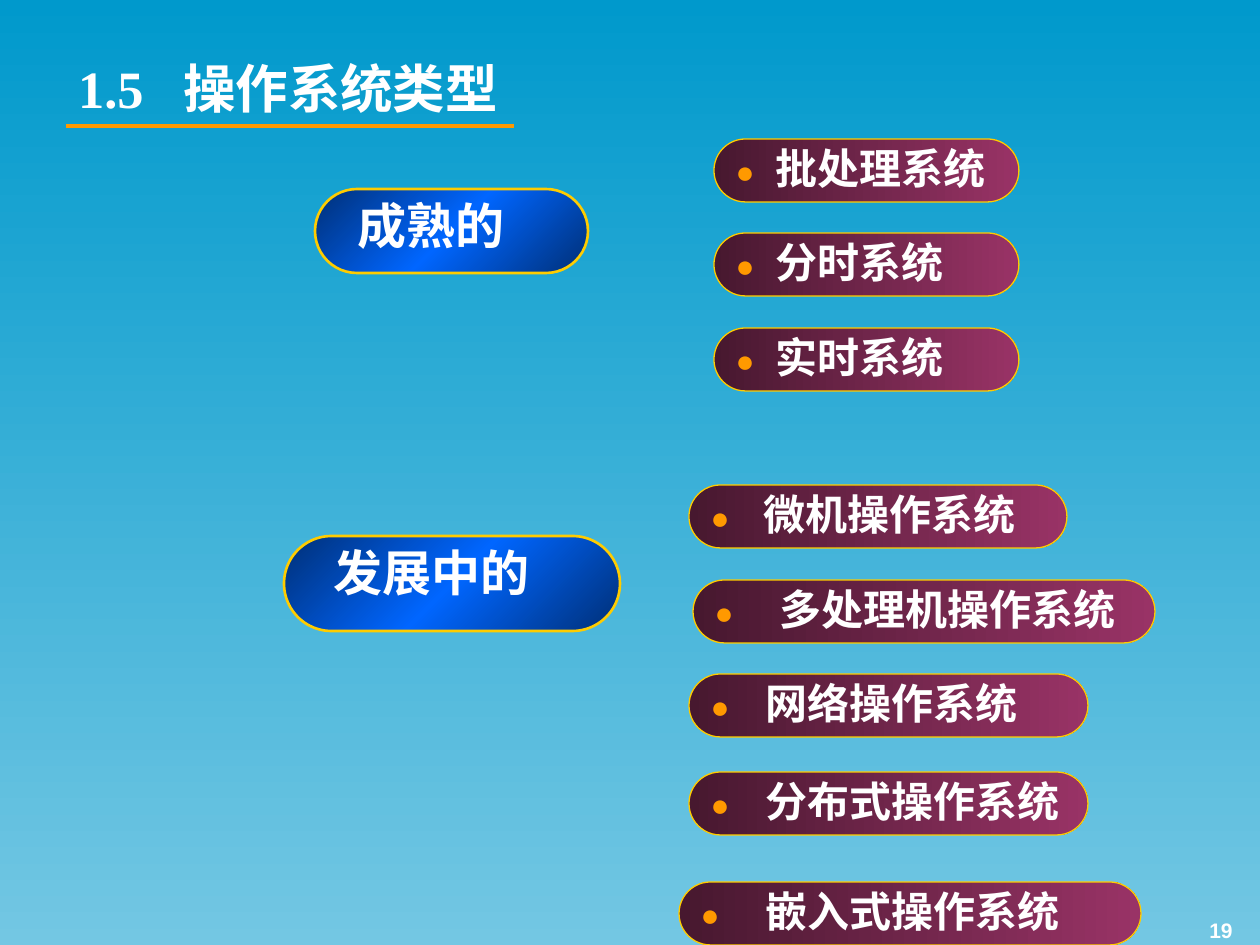
from pptx import Presentation
from pptx.dml.color import RGBColor
from pptx.enum.shapes import MSO_CONNECTOR, MSO_SHAPE
from pptx.enum.text import MSO_ANCHOR, PP_ALIGN
from pptx.oxml.ns import qn
from pptx.util import Emu, Pt
from lxml import etree

PILL = MSO_SHAPE.ROUNDED_RECTANGLE
LINE = MSO_CONNECTOR.STRAIGHT
TOP, MID, LOW = MSO_ANCHOR.TOP, MSO_ANCHOR.MIDDLE, MSO_ANCHOR.BOTTOM
LEFT, RIGHT = PP_ALIGN.LEFT, PP_ALIGN.RIGHT

SKY, MIST = RGBColor(0x00, 0x99, 0xCC), RGBColor(0x73, 0xC7, 0xE3)
NAVY, BLUE = RGBColor(0x00, 0x2F, 0x76), RGBColor(0x00, 0x66, 0xFF)
WINE, PLUM = RGBColor(0x47, 0x18, 0x2F), RGBColor(0x99, 0x33, 0x66)
GOLD, AMBER = RGBColor(0xFF, 0xCC, 0x00), RGBColor(0xFF, 0x99, 0x00)
WHITE = RGBColor(0xFF, 0xFF, 0xFF)

HEAD = dict(name="Times New Roman", size=Pt(30), bold=True)
KIND = dict(name="Lato", size=Pt(28), bold=True)
ITEM = dict(name="Lato", size=Pt(24), bold=True)
DOT = dict(name="Times New Roman", size=Pt(18), bold=False)
PAGE = dict(name="Arial", size=Pt(12), bold=True)

KINDS = [("成熟的", (315, 189, 273, 84), 30),
         ("发展中的", (284, 536, 336, 95), 37)]
# name, box of the pill, indent of the label
ITEMS = [("批处理系统", (714, 139, 305, 63), 49),
         ("分时系统", (714, 233, 305, 63), 49),
         ("实时系统", (714, 328, 305, 63), 49),
         ("微机操作系统", (689, 485, 378, 63), 62),
         ("多处理机操作系统", (693, 580, 462, 63), 74),
         ("网络操作系统", (689, 674, 399, 63), 64),
         ("分布式操作系统", (689, 772, 399, 63), 64),
         ("嵌入式操作系统", (679, 882, 462, 63), 74)]


def px(n):
    return Emu(round(n * 914400 / 126))


def place(box):
    return [px(n) for n in box]


def blend(fill, root, tints, angle):
    """Fill with evenly spaced colours; the angle runs clockwise."""
    fill.gradient()
    fill.gradient_angle = (360 - angle) % 360
    stops = root.find(".//" + qn("a:gsLst"))
    for stop in list(stops):
        stops.remove(stop)
    for i, tint in enumerate(tints):
        pos = str(100000 * i // (len(tints) - 1))
        stop = etree.SubElement(stops, qn("a:gs"), pos=pos)
        etree.SubElement(stop, qn("a:srgbClr"), val=str(tint))


def write(shape, text, style, tint=WHITE, anchor=TOP, align=LEFT):
    frame = shape.text_frame
    frame.word_wrap = True
    frame.vertical_anchor = anchor
    para = frame.paragraphs[0]
    para.alignment = align
    run = para.add_run()
    run.text = text
    for key, value in style.items():
        setattr(run.font, key, value)
    run.font.color.rgb = tint


def add_text(shapes, box, text, style, **opts):
    write(shapes.add_textbox(*place(box)), text, style, **opts)


def add_pill(shapes, box, tints, angle, width):
    pill = shapes.add_shape(PILL, *place(box))
    pill.adjustments[0] = 0.5
    pill.shadow.inherit = False
    blend(pill.fill, pill._element.spPr, tints, angle)
    pill.line.color.rgb = GOLD
    pill.line.width = Pt(width)
    return pill


def add_head(slide, box):
    x, y, w, h = box
    title = slide.shapes.title
    title.left, title.top, title.width, title.height = place(box)
    title.text_frame.margin_left = px(24)
    props = title.text_frame.paragraphs[0]._p.get_or_add_pPr()
    tabs = etree.SubElement(props, qn("a:tabLst"))
    etree.SubElement(tabs, qn("a:tab"), pos=str(px(105)), algn="l")
    write(title, "1.5\t操作系统类型", HEAD, anchor=MID)
    rule = slide.shapes.add_connector(
        LINE, *place((x + 12, y + 91, x + 460, y + 91)))
    rule.line.color.rgb = AMBER
    rule.line.width = Pt(2.25)
    etree.SubElement(rule._element.spPr, qn("a:effectLst"))


def add_kind(slide, name, box, inset):
    x, y, w, h = box
    shapes = slide.shapes.add_group_shape().shapes
    add_pill(shapes, box, (NAVY, BLUE, NAVY), 45, 1.5)
    add_text(shapes, (x + inset, y, w - 2 * inset, 72), name, KIND)


def add_item(slide, name, box, inset):
    x, y, w, h = box
    shapes = slide.shapes.add_group_shape().shapes
    pill = add_pill(shapes, box, (WINE, PLUM), 0, 0.75)
    write(pill, "●", DOT, tint=AMBER, anchor=MID)
    add_text(shapes, (x + inset, y - 3, w - inset, h), name, ITEM)


def main():
    prs = Presentation()
    prs.slide_width, prs.slide_height = px(1260), px(945)
    slide = prs.slides.add_slide(prs.slide_layouts[5])
    blend(slide.background.fill, slide._element, (SKY, MIST), 90)
    add_head(slide, (54, 35, 469, 105))
    for kind in KINDS:
        add_kind(slide, *kind)
    for item in ITEMS:
        add_item(slide, *item)
    add_text(slide.shapes, (951, 883, 294, 66), "19", PAGE,
             anchor=LOW, align=RIGHT)
    prs.save("out.pptx")


if __name__ == "__main__":
    main()
